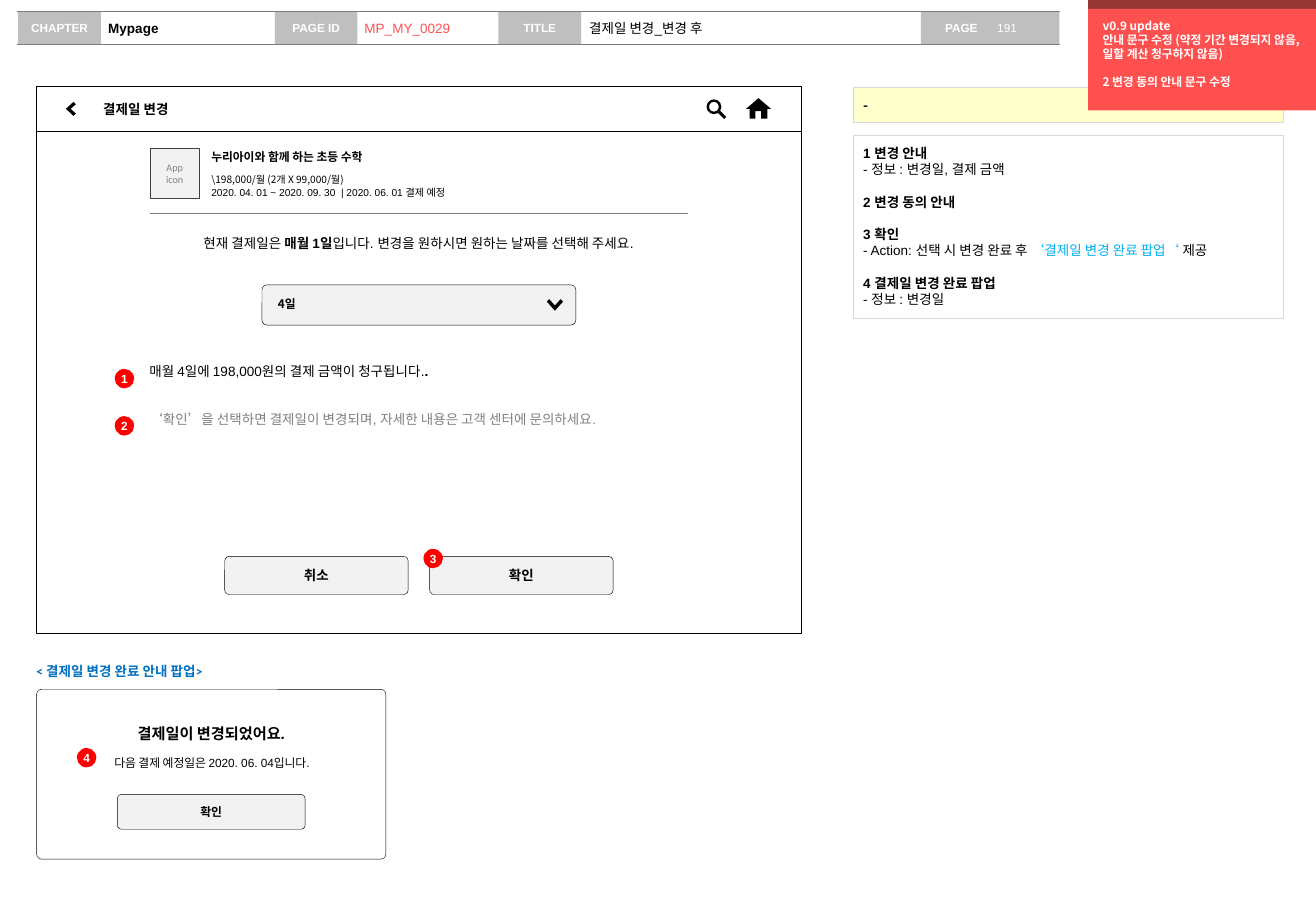
from pptx import Presentation
from pptx.dml.color import RGBColor
from pptx.enum.shapes import MSO_CONNECTOR as Connector, MSO_SHAPE as Shape
from pptx.enum.text import MSO_ANCHOR as Anchor, MSO_AUTO_SIZE as AutoSize, PP_ALIGN as Align
from pptx.oxml.ns import qn
from pptx.util import Pt
from lxml.etree import SubElement

BLACK = RGBColor(0, 0, 0)
WHITE = RGBColor(255, 255, 255)
HEADER_GRAY = RGBColor(0xBF, 0xBF, 0xBF)
RULE_GRAY = RGBColor(0x7F, 0x7F, 0x7F)
TEXT_GRAY = RGBColor(0x80, 0x80, 0x80)
ICON_GRAY = RGBColor(0x40, 0x40, 0x40)
PANEL_GRAY = RGBColor(0xD9, 0xD9, 0xD9)
BUTTON_GRAY = RGBColor(0xF2, 0xF2, 0xF2)
YELLOW = RGBColor(0xFF, 0xFF, 0xCC)
RED = RGBColor(0xFF, 0, 0)
CORAL = RGBColor(0xFF, 0x50, 0x50)
DARK_RED = RGBColor(0x95, 0x37, 0x35)
LINK_BLUE = RGBColor(0, 0xB0, 0xF0)
CAPTION_BLUE = RGBColor(0, 0x70, 0xC0)
ARIAL, CALIBRI, NOTO = "Arial", "Calibri", "Noto Sans CJK KR"

BOLD = {"bold": True}
PANEL_INSETS = (5.8, 5.8, 5.8, 5.8)
UPDATE_INSETS = (8.6, 5.8, 7.2, 3.6)
FIELD_INSETS = (4.3, 3.6, 0, 3.6)


def set_format(target, values):
    for name, value in values.items():
        setattr(target, name, value)


def write(box, paragraphs, size=8, name=ARIAL, color=BLACK, bold=False, align=Align.LEFT,
          anchor=Anchor.TOP, insets=(0, 0, 0, 0), wrap=True, leading=None, gaps=None):
    frame = box.text_frame
    left, top, right, bottom = map(Pt, insets)
    set_format(frame, {"margin_left": left, "margin_top": top, "margin_right": right,
                       "margin_bottom": bottom, "vertical_anchor": anchor,
                       "word_wrap": wrap, "auto_size": AutoSize.NONE})
    for index, spans in enumerate(paragraphs):
        para = frame.paragraphs[0] if index == 0 else frame.add_paragraph()
        set_format(para, {"alignment": align, "line_spacing": Pt(leading or size * 1.2),
                          "space_before": Pt((gaps or {}).get(index, 0))})
        for text, changes in spans:
            style = {"size": Pt(size), "bold": bold, "name": name, "color": color, **changes}
            span = para.add_run()
            span.text = text
            span.font.color.rgb = style.pop("color")
            set_format(span.font, style)
            SubElement(span.font._element, qn("a:ea"), typeface=NOTO)


def add_text(page, place, paragraphs, **formats):
    write(page.shapes.add_textbox(*map(Pt, place)), paragraphs, **formats)


def paint(box, fill, line=None, width=0.25):
    box.shadow.inherit = False
    if fill is None:
        box.fill.background()
    else:
        box.fill.solid()
        box.fill.fore_color.rgb = fill
    if line is None:
        box.line.fill.background()
    else:
        box.line.color.rgb = line
        box.line.width = Pt(width)


def add_box(page, place, fill, line=None, width=0.25, kind=Shape.RECTANGLE,
            corner=None, paragraphs=(), **formats):
    box = page.shapes.add_shape(kind, *map(Pt, place))
    paint(box, fill, line, width)
    if corner is not None:
        box.adjustments[0] = corner
    if paragraphs:
        write(box, paragraphs, **formats)


def add_button(page, place, label, **formats):
    add_box(page, place, BUTTON_GRAY, BLACK, kind=Shape.ROUNDED_RECTANGLE, corner=0.12,
            paragraphs=[[(label, BOLD)]], anchor=Anchor.MIDDLE,
            **{"name": NOTO, "align": Align.CENTER, **formats})


def add_badge(page, number, left, top):
    add_box(page, (left, top, 11.5, 11.5), RED, kind=Shape.OVAL,
            paragraphs=[[(number, BOLD)]], size=7, color=WHITE,
            align=Align.CENTER, anchor=Anchor.MIDDLE, wrap=False)


def add_line(page, start, end, color, width):
    line = page.shapes.add_connector(Connector.STRAIGHT, *map(Pt, start + end))
    line.line.color.rgb = color
    line.line.width = Pt(width)
    SubElement(line._element.spPr, qn("a:effectLst"))


def add_icon(page, points):
    corners = [(Pt(x), Pt(y)) for x, y in points]
    builder = page.shapes.build_freeform(*corners[0])
    builder.add_line_segments(corners[1:], close=True)
    paint(builder.convert_to_shape(), BLACK)


def fill_placeholder(box, place, text, **formats):
    set_format(box, dict(zip(("left", "top", "width", "height"), map(Pt, place))))
    properties = box.text_frame.paragraphs[0]._p.get_or_add_pPr()
    properties.set("marL", "0")
    properties.set("indent", "0")
    SubElement(properties, qn("a:buNone"))
    write(box, [[(text, {})]], anchor=Anchor.MIDDLE, insets=FIELD_INSETS, **formats)


def add_header(page):
    title, name, code = page.placeholders
    fill_placeholder(title, (59.8, 8, 103, 17.3), "Mypage", bold=True)
    fill_placeholder(name, (344.9, 8, 201.6, 17.3), "결제일 변경_변경 후")
    fill_placeholder(code, (211.7, 8, 83.5, 17.3), "MP_MY_0029", color=CORAL)
    for label, left in (("CHAPTER", 10.8), ("PAGE ID", 162.9), ("TITLE", 295.4)):
        add_box(page, (left, 7, 49, 19.4), HEADER_GRAY, paragraphs=[[(label, BOLD)]], size=7,
                color=WHITE, align=Align.CENTER, anchor=Anchor.MIDDLE, wrap=False)
    add_box(page, (545.8, 7, 82.2, 19.4), HEADER_GRAY, paragraphs=[[("PAGE", BOLD)]], size=7,
            color=WHITE, anchor=Anchor.MIDDLE, insets=(14.4, 0, 0, 0))
    add_text(page, (588.2, 8.6, 39.6, 15.8), [[("191", {})]], size=7, color=WHITE,
             insets=(2.9, 3.6, 0, 3.6))
    for height in (7, 26.3):
        add_line(page, (10.3, height), (628, height), RULE_GRAY, 0.75)


def add_screen(page):
    add_box(page, (21.6, 51.1, 453.6, 324), None, BLACK)
    add_box(page, (21.6, 51.1, 453.6, 26.6), WHITE, BLACK, paragraphs=[[("결제일 변경", BOLD)]],
            name=NOTO, anchor=Anchor.MIDDLE, insets=(39.6, 0, 0, 0))
    add_icon(page, [(45, 61.8), (43.6, 60.4), (39.1, 64.5), (43.6, 68.7), (45, 67.3), (41.9, 64.5)])
    add_icon(page, [(447.8, 70.4), (447.8, 66), (451.2, 66), (451.2, 70.4), (454.9, 70.4),
                    (454.9, 64.6), (457, 64.6), (449.6, 58.2), (442.2, 64.6), (444.4, 64.6),
                    (444.4, 70.4)])
    add_box(page, (418.8, 58.9, 8.8, 8.8), BLACK, kind=Shape.DONUT, corner=0.17)
    add_line(page, (426, 66.1), (429.8, 69.9), BLACK, 1.8)

    add_box(page, (88.8, 87.9, 29.5, 29.5), BUTTON_GRAY, ICON_GRAY,
            paragraphs=[[("App", {})], [("icon", {})]], size=6, name=CALIBRI,
            color=TEXT_GRAY, align=Align.CENTER, anchor=Anchor.MIDDLE)
    add_text(page, (125.3, 88.8, 150, 8.6), [[("누리아이와 함께 하는 초등 수학", BOLD)]], size=7)
    add_text(page, (125.3, 102, 190, 15.4),
             [[("\\198,000/월 (2개 X 99,000/월)", {"name": NOTO})],
              [("2020. 04. 01 ~ 2020. 09. 30  | 2020. 06. 01 결제 예정", {})]],
             size=6, leading=7.7)
    add_line(page, (88.8, 126.5), (407.7, 126.5), TEXT_GRAY, 0.25)

    add_text(page, (88.6, 139, 319, 9.6),
             [[("현재 결제일은 ", {}), ("매월 1일", BOLD),
               ("입니다. 변경을 원하시면 원하는 날짜를 선택해 주세요.", {})]], align=Align.CENTER)
    add_button(page, (155.3, 168.9, 186, 23.8), "4일", size=7, align=Align.LEFT,
               insets=(8.6, 0, 7.2, 1.4))
    add_icon(page, [(325.5, 177.3), (324.1, 178.8), (328.9, 184.2), (333.7, 178.8),
                    (332.3, 177.3), (328.9, 181.1)])
    add_text(page, (88.6, 215.3, 319, 9.6),
             [[("매월 4일에 198,000원의 결제 금액이 청구됩니다.", {}), (".", BOLD)]])
    add_text(page, (88.6, 243.4, 319, 9.6),
             [[("‘확인’을 선택하면 결제일이 변경되며, 자세한 내용은 고객 센터에 문의하세요.", {})]],
             color=TEXT_GRAY)
    for label, left in (("취소", 133.2), ("확인", 254.7)):
        add_button(page, (left, 329.8, 108.7, 22.6), label)


def add_popup(page):
    add_text(page, (21.6, 394.2, 178, 7.2), [[("< 결제일 변경 완료 안내 팝업>", BOLD)]],
             name=CALIBRI, color=CAPTION_BLUE, anchor=Anchor.MIDDLE)
    add_box(page, (21.7, 408.6, 207, 100.7), WHITE, BLACK,
            kind=Shape.ROUNDED_RECTANGLE, corner=0.03)
    add_text(page, (65.2, 429.3, 120, 10.8), [[("결제일이 변경되었어요.", BOLD)]],
             size=9, align=Align.CENTER)
    add_text(page, (33.1, 446.4, 185, 10), [[("다음 결제 예정일은 2020. 06. 04입니다.", {})]],
             size=7, align=Align.CENTER, leading=10)
    add_button(page, (69.6, 470.9, 111.3, 20.7), "확인", size=7)


def add_notes_panel(page):
    add_box(page, (505.8, 51.8, 255, 21), YELLOW, PANEL_GRAY, 0.75,
            paragraphs=[[("-", BOLD)]], name=NOTO, insets=PANEL_INSETS)
    add_box(page, (505.8, 80.2, 255, 108.7), None, PANEL_GRAY, 0.75, paragraphs=[
        [("1 변경 안내", BOLD)],
        [("- 정보 : 변경일, 결제 금액", {})],
        [("2 변경 동의 안내", BOLD)],
        [("3 확인", BOLD)],
        [("- Action: 선택 시 변경 완료 후 ", {}),
         ("‘결제일 변경 완료 팝업‘ ", {"name": NOTO, "color": LINK_BLUE}), ("제공", {})],
        [("4 결제일 변경 완료 팝업", BOLD)],
        [("- 정보 : 변경일", {})],
    ], insets=PANEL_INSETS, gaps={2: 9.6, 3: 9.6, 5: 9.6})


def add_update_note(page):
    add_box(page, (644.9, 0, 135.1, 34.6), DARK_RED)
    add_box(page, (644.9, 5.2, 135.1, 60.3), CORAL, paragraphs=[
        [("v0.9 update", {})],
        [("안내 문구 수정 (약정 기간 변경되지 않음, 일할 계산 청구하지 않음)", {})],
        [("2 변경 동의 안내 문구 수정", {})],
    ], size=7, name=NOTO, color=WHITE, bold=True, insets=UPDATE_INSETS, gaps={2: 8.4})


def main():
    deck = Presentation()
    set_format(deck, {"slide_width": Pt(780), "slide_height": Pt(540)})
    page = deck.slides.add_slide(deck.slide_layouts.get_by_name("Two Content"))
    add_header(page)
    add_screen(page)
    add_popup(page)
    badges = (("1", 68, 218.7), ("2", 68, 246.7), ("3", 251, 325.3), ("4", 45.6, 443.4))
    for number, left, top in badges:
        add_badge(page, number, left, top)
    add_notes_panel(page)
    add_update_note(page)
    deck.save("out.pptx")


if __name__ == "__main__":
    main()
